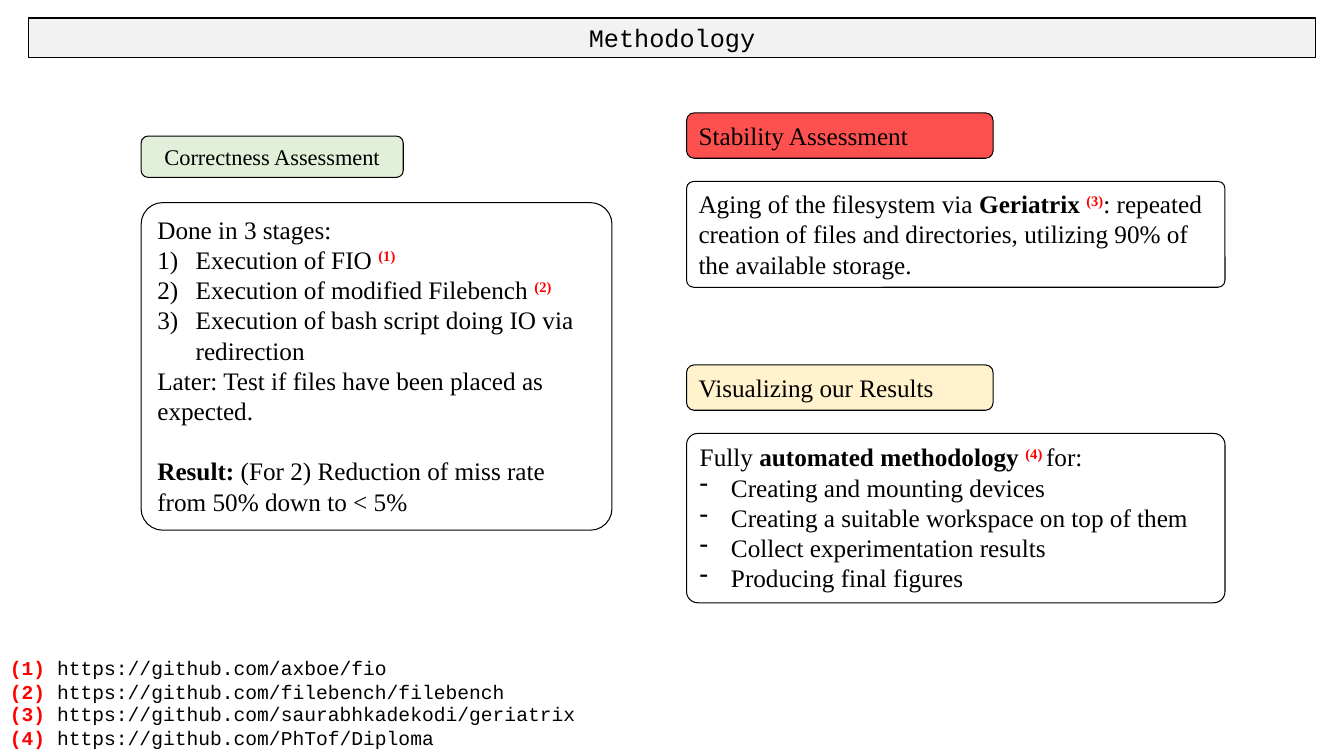
from lxml.etree import SubElement
from pptx import Presentation
from pptx.dml.color import RGBColor
from pptx.enum.shapes import MSO_SHAPE
from pptx.enum.text import MSO_ANCHOR, MSO_AUTO_SIZE, PP_ALIGN
from pptx.oxml.ns import qn
from pptx.util import Pt

PX = 9144  # 100 px to the inch
SERIF, MONO = "Times New Roman", "Courier New"
BLACK, RED = "000000", "FF0000"


def px(*vals):
    return [val * PX for val in vals]


def color(code):
    return RGBColor.from_string(code)


def paint(shape, fill, width):
    if fill:
        shape.fill.solid()
        shape.fill.fore_color.rgb = color(fill)
    else:
        shape.fill.background()
    shape.line.color.rgb = color(BLACK)
    shape.line.width = Pt(width)


def add_run(para, text, style, size, font):
    """Styles: b bold, r red bold, s red bold superscript."""
    run = para.add_run()
    run.text = text
    run.font.size = Pt(size)
    run.font.name = font
    run.font.bold = style != ""
    run.font.color.rgb = color(RED if style in ("r", "s") else BLACK)
    if style == "s":
        run._r.get_or_add_rPr().set("baseline", "30000")


def add_mark(para, mark):
    step = 38 if mark == "1)" else 31
    props = para._p.get_or_add_pPr()
    props.set("marL", str(step * PX))
    props.set("indent", str(-step * PX))
    if mark == "1)":
        SubElement(props, qn("a:buAutoNum"), type="arabicParenR")
    else:
        SubElement(props, qn("a:buFontTx"))
        SubElement(props, qn("a:buChar"), char=mark)


def write(frame, paras, size, font, align=PP_ALIGN.LEFT):
    """Each paragraph is (mark, space before, runs)."""
    for num, (mark, space, runs) in enumerate(paras):
        para = frame.paragraphs[0] if num == 0 else frame.add_paragraph()
        para.alignment = align
        if space:
            para.space_before = Pt(space)
        if mark:
            add_mark(para, mark)
        for text, style in runs:
            add_run(para, text, style, size, font)


def plain(text, mark=""):
    return mark, 0, [(text, "")]


def title_bar(slide, text, box):
    title = slide.shapes.title
    title.left, title.top, title.width, title.height = px(*box)
    geom = SubElement(title._element.spPr, qn("a:prstGeom"), prst="roundRect")
    SubElement(geom, qn("a:avLst"))
    paint(title, "F2F2F2", 1)
    frame = title.text_frame
    frame.auto_size = MSO_AUTO_SIZE.NONE
    frame.vertical_anchor = MSO_ANCHOR.MIDDLE
    write(frame, [plain(text)], 18, MONO, PP_ALIGN.CENTER)
    frame.paragraphs[0].line_spacing = 1.0


def card(slide, box, fill, paras, size=18, align=PP_ALIGN.LEFT):
    shape = slide.shapes.add_shape(MSO_SHAPE.ROUNDED_RECTANGLE, *px(*box))
    shape.shadow.inherit = False
    paint(shape, fill, 0.75)
    frame = shape.text_frame
    frame.word_wrap = True
    frame.vertical_anchor = MSO_ANCHOR.TOP
    write(frame, paras, size, SERIF, align)
    return shape


def section(slide, box, tag, gap, paras):
    """A tag on top, with the framed text below it."""
    x, y, wide, high = box
    name, fill, tag_w, tag_h, size, align = tag
    card(slide, (x, y, tag_w, tag_h), fill, [plain(name)], size, align)
    top = tag_h + gap
    body = card(slide, (x, y + top, wide, high - top), None, paras)
    body.adjustments[0] = 0.066


def sources(slide, box, first, links):
    frame = slide.shapes.add_textbox(*px(*box)).text_frame
    frame.word_wrap = False
    paras = [("", 0, [(f"({num})", "r"), (f" {link}", "")])
             for num, link in enumerate(links, first)]
    write(frame, paras, 14, MONO)


def main():
    deck = Presentation()
    deck.slide_width, deck.slide_height = px(1333, 750)
    slide = deck.slides.add_slide(deck.slide_layouts[5])
    title_bar(slide, "Methodology", (28, 18, 1277, 39))

    # Correctness
    section(slide, (140, 135, 467, 391),
            ("Correctness Assessment", "E2F0D9", 260, 41, 16,
             PP_ALIGN.CENTER), 25, [
        plain("Done in 3 stages:"),
        ("1)", 0, [("Execution of FIO ", ""), ("(1)", "s")]),
        ("1)", 0, [("Execution of modified Filebench ", ""), ("(2)", "s")]),
        plain("Execution of bash script doing IO via redirection", "1)"),
        plain("Later: Test if files have been placed as expected."),
        ("", 21.6, [("Result: ", "b"),
                    ("(For 2) Reduction of miss rate from 50% down to < 5%",
                     "")]),
    ])

    # Stability
    section(slide, (681, 112, 534, 173),
            ("Stability Assessment", "FF5050", 304, 45, 18,
             PP_ALIGN.LEFT), 23, [
        ("", 0, [("Aging of the filesystem via ", ""), ("Geriatrix ", "b"),
                 ("(3)", "s"),
                 (": repeated creation of files and directories, "
                  "utilizing 90% of the available storage.", "")]),
    ])

    # Results
    steps = ["Creating and mounting devices",
             "Creating a suitable workspace on top of them",
             "Collect experimentation results",
             "Producing final figures"]
    section(slide, (681, 362, 534, 236),
            ("Visualizing our Results", "FFF2CC", 304, 45, 18,
             PP_ALIGN.LEFT), 23, [
        ("", 0, [("Fully ", ""), ("automated methodology ", "b"),
                 ("(4) ", "s"), ("for:", "")]),
        *[plain(step, "-") for step in steps],
    ])

    # Sources
    sources(slide, (0, 646, 514, 57), 1,
            ["https://github.com/axboe/fio",
             "https://github.com/filebench/filebench"])
    sources(slide, (0, 691, 584, 34), 3,
            ["https://github.com/saurabhkadekodi/geriatrix"])
    sources(slide, (0, 715, 443, 34), 4,
            ["https://github.com/PhTof/Diploma"])
    deck.save("out.pptx")


if __name__ == "__main__":
    main()
